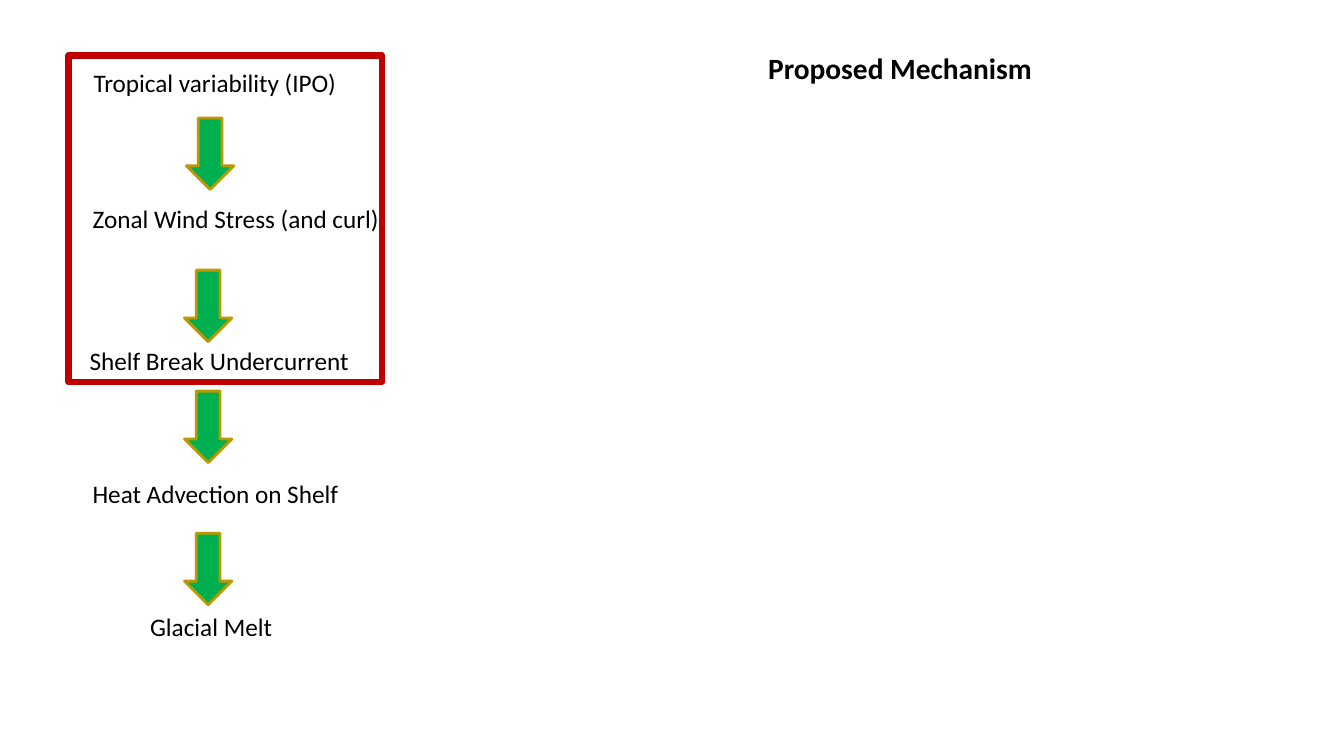
from pptx import Presentation
from pptx.dml.color import RGBColor
from pptx.enum.shapes import MSO_SHAPE as Shape
from pptx.enum.text import MSO_ANCHOR as Anchor
from pptx.util import Pt

EMU_PER_PX = 9144
COLORS = {"text": "000000", "arrow": "00B050", "arrow_edge": "BD9800", "frame": "C00000"}
STEP_FONT = {"name": "Calibri", "size": Pt(18), "bold": False}
HEADING_FONT = {"name": "Calibri", "size": Pt(21), "bold": True}
STEPS = [
    ("Tropical variability (IPO)", 15, 7, 328),
    ("Zonal Wind Stress (and curl)", 14, 142, 340),
    ("Shelf Break Undercurrent", 11, 283, 283),
    ("Heat Advection on Shelf", 14, 415, 276),
    ("Glacial Melt", 71, 547, 155),
]
ARROWS = [(117, 62), (115, 213), (115, 333), (115, 474)]
ARROW_SIZE = (47, 71)
FRAME_SIZE = (311, 324)
STEP_HEIGHT = 40


def px(*lengths):
    return [length * EMU_PER_PX for length in lengths]


def color(key):
    return RGBColor.from_string(COLORS[key])


def add_label(slide, wording, box, font_format):
    label = slide.shapes.add_textbox(*px(*box)).text_frame
    label.word_wrap = True
    label.vertical_anchor = Anchor.TOP
    paragraph = label.paragraphs[0]
    paragraph.text = wording
    for attribute, value in font_format.items():
        setattr(paragraph.font, attribute, value)
    paragraph.font.color.rgb = color("text")


def add_outlined(slide, preset, box, edge, weight, fill=None):
    outlined = slide.shapes.add_shape(preset, *px(*box))
    outlined.shadow.inherit = False
    if fill:
        outlined.fill.solid()
        outlined.fill.fore_color.rgb = color(fill)
    else:
        outlined.fill.background()
    outlined.line.color.rgb = color(edge)
    outlined.line.width = Pt(weight)


def add_mechanism(slide, left, top):
    for wording, dx, dy, width in STEPS:
        add_label(slide, wording, (left + dx, top + dy, width, STEP_HEIGHT), STEP_FONT)
    for dx, dy in ARROWS:
        add_outlined(slide, Shape.DOWN_ARROW, (left + dx, top + dy, *ARROW_SIZE),
                     "arrow_edge", 2, "arrow")
    add_outlined(slide, Shape.RECTANGLE, (left, top, *FRAME_SIZE), "frame", 4.5)


def main():
    deck = Presentation()
    deck.slide_width, deck.slide_height = px(1333, 750)
    slide = deck.slides.add_slide(deck.slide_layouts[6])
    add_label(slide, "Proposed Mechanism", (752, 45, 282, 57), HEADING_FONT)
    add_mechanism(slide, 68, 55)
    deck.save("out.pptx")


if __name__ == "__main__":
    main()
